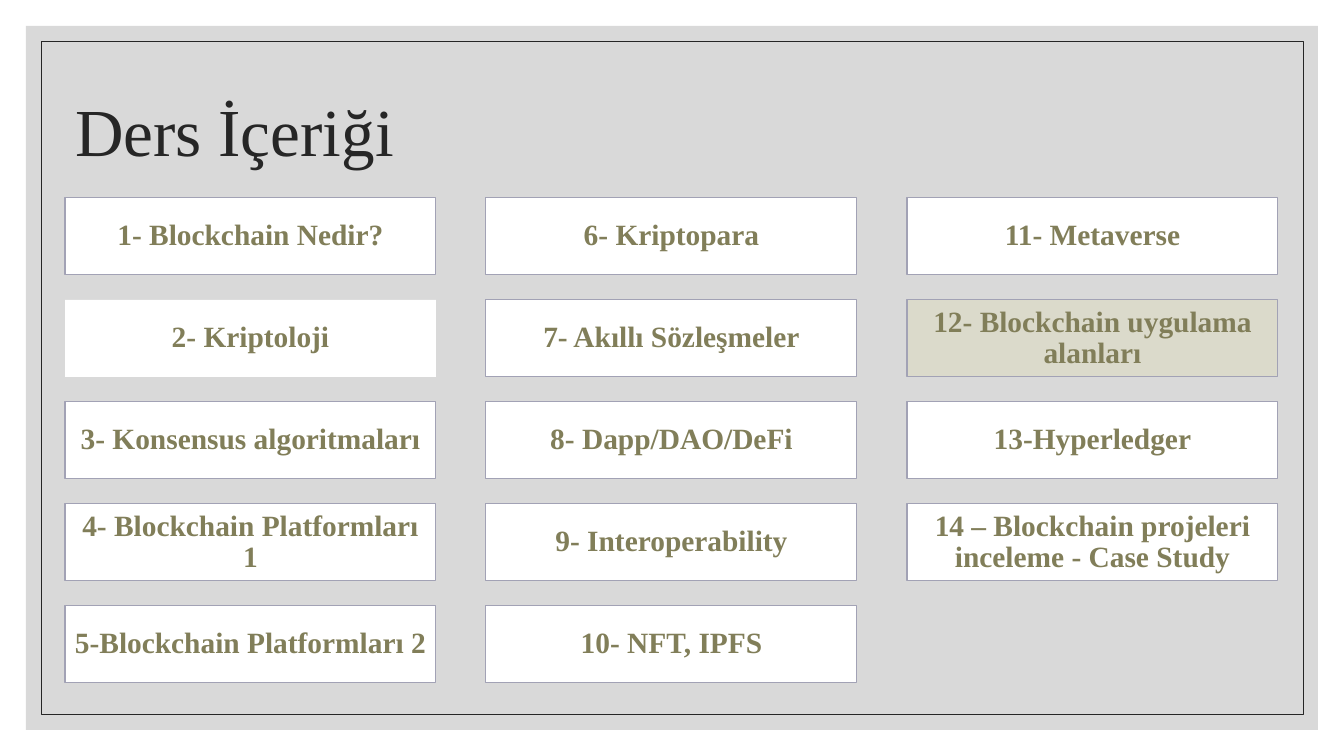
from pptx import Presentation
from pptx.dml.color import RGBColor
from pptx.enum.shapes import MSO_SHAPE as Shape
from pptx.enum.text import MSO_ANCHOR as Anchor, PP_ALIGN as Align
from pptx.util import Emu, Pt

EMU_PER_PX = 914400 / 100.8
INK, OLIVE, CARD_EDGE = "262626", "817E59", "A2A2B5"
CARD_LEFT, CARD_TOP, CARD_WIDTH, CARD_HEIGHT = 65, 198, 371, 77
COLUMN_STEP, ROW_STEP, ROWS = 421, 102, 5
HIGHLIGHTED, BORDERLESS = 12, 2
TITLE_FORMAT = {"size": Pt(48), "bold": False}
CARD_FORMAT = {"size": Pt(21), "bold": True}
TOPICS = [
    "1- Blockchain Nedir?",
    "2- Kriptoloji",
    "3- Konsensus algoritmaları",
    "4- Blockchain Platformları 1",
    "5-Blockchain Platformları 2",
    "6- Kriptopara",
    "7- Akıllı Sözleşmeler",
    "8- Dapp/DAO/DeFi",
    "9- Interoperability",
    "10- NFT, IPFS",
    "11- Metaverse",
    "12- Blockchain uygulama alanları",
    "13-Hyperledger",
    "14 – Blockchain projeleri inceleme - Case Study",
]


def px(length):
    return Emu(round(length * EMU_PER_PX))


def color(hex_value):
    return RGBColor.from_string(hex_value)


def add_rectangle(slide, box, fill=None, line=None, line_width=0.5):
    shape = slide.shapes.add_shape(Shape.RECTANGLE, *map(px, box))
    shape.shadow.inherit = False
    if fill:
        shape.fill.solid()
        shape.fill.fore_color.rgb = color(fill)
    else:
        shape.fill.background()
    if line:
        shape.line.color.rgb = color(line)
        shape.line.width = Pt(line_width)
    else:
        shape.line.fill.background()
    return shape


def write_text(shape, text, align, font_format, font_color, margins):
    """Set one vertically centred paragraph; margins are (sides, top and bottom) in px."""
    side, edge = map(px, margins)
    frame_format = {
        "word_wrap": True, "vertical_anchor": Anchor.MIDDLE,
        "margin_left": side, "margin_right": side,
        "margin_top": edge, "margin_bottom": edge,
    }
    for name, value in frame_format.items():
        setattr(shape.text_frame, name, value)
    paragraph = shape.text_frame.paragraphs[0]
    paragraph.alignment = align
    paragraph.line_spacing = 0.9
    run = paragraph.add_run()
    run.text = text
    for name, value in {"name": "Times New Roman", **font_format}.items():
        setattr(run.font, name, value)
    run.font.color.rgb = color(font_color)


def add_title(slide, text):
    title = slide.shapes.add_textbox(*map(px, (65, 59, 1109, 151)))
    write_text(title, text, Align.LEFT, TITLE_FORMAT, INK, (10, 5))


def add_topic_card(slide, number, topic):
    column, row = divmod(number - 1, ROWS)
    box = (CARD_LEFT + column * COLUMN_STEP, CARD_TOP + row * ROW_STEP,
           CARD_WIDTH, CARD_HEIGHT)
    fill = "DBDACB" if number == HIGHLIGHTED else "FFFFFF"
    line = None if number == BORDERLESS else CARD_EDGE
    card = add_rectangle(slide, box, fill, line, 0.75)
    write_text(card, topic, Align.CENTER, CARD_FORMAT, OLIVE, (8, 9))


def main():
    presentation = Presentation()
    presentation.slide_width, presentation.slide_height = px(1344), px(756)
    slide = presentation.slides.add_slide(presentation.slide_layouts[6])
    add_rectangle(slide, (26, 26, 1292, 704), fill="D9D9D9")
    add_rectangle(slide, (41, 41, 1262, 673), line=INK)
    add_title(slide, "Ders İçeriği")
    for number, topic in enumerate(TOPICS, start=1):
        add_topic_card(slide, number, topic)
    presentation.save("out.pptx")


if __name__ == "__main__":
    main()
